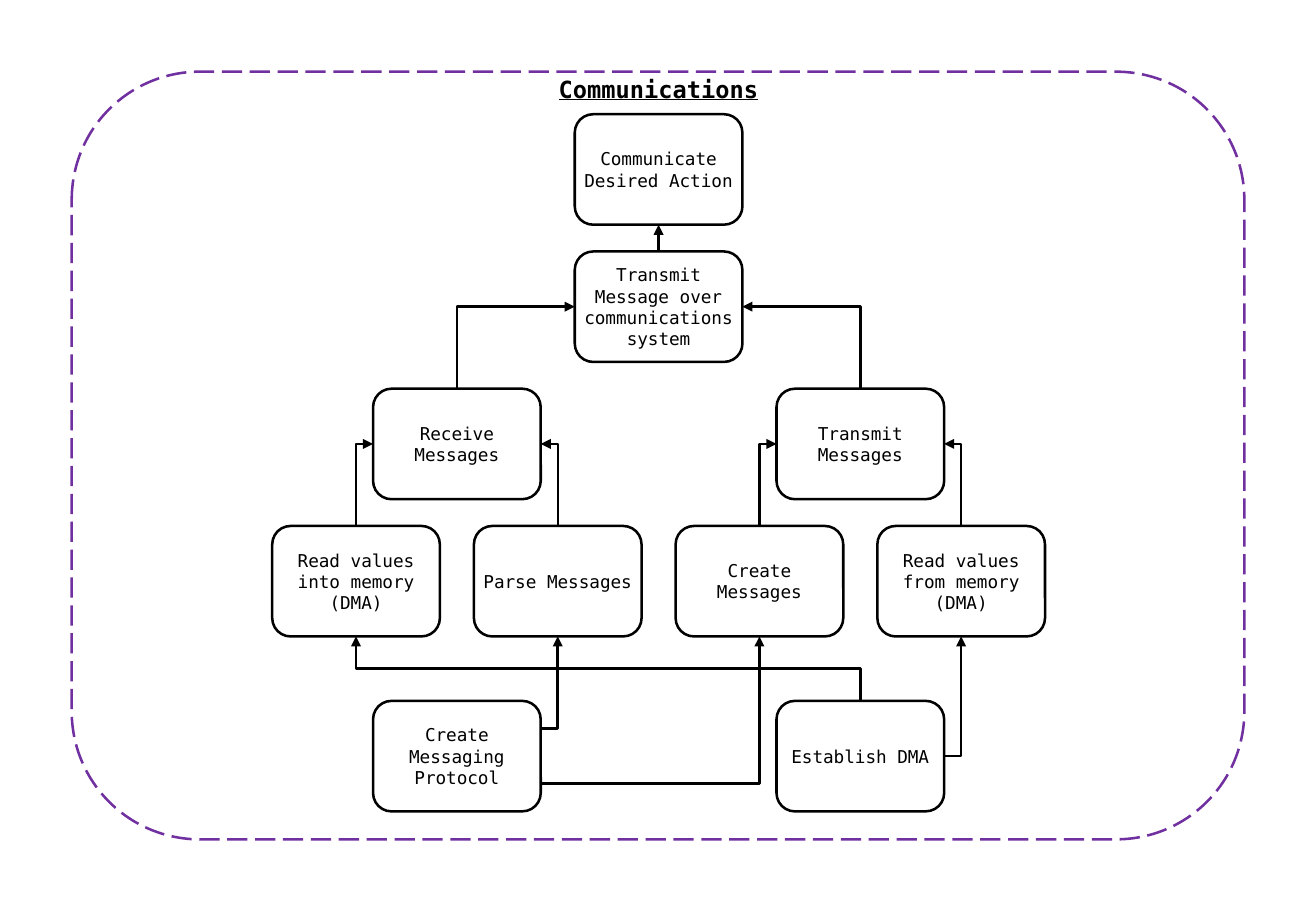
import pptx
import pptx.util
import pptx.dml.color
import pptx.enum.dml
import pptx.enum.shapes
import pptx.enum.text
import pptx.oxml
import pptx.oxml.ns
from dataclasses import dataclass

Inches = pptx.util.Inches

# Content: name -> (text, column in half steps from the centre, row)
TITLE = "Communications"
TASKS = {
    "action": ("Communicate Desired Action", 0, 0),
    "system": ("Transmit Message over communications system", 0, 1),
    "receive": ("Receive Messages", -2, 2),
    "transmit": ("Transmit Messages", 2, 2),
    "read into": ("Read values into memory (DMA)", -3, 3),
    "parse": ("Parse Messages", -1, 3),
    "create": ("Create Messages", 1, 3),
    "read from": ("Read values from memory (DMA)", 3, 3),
    "protocol": ("Create Messaging Protocol", -2, 4),
    "establish": ("Establish DMA", 2, 4),
}
# Arrows: task, side it leaves, next task, side it enters
ARROWS = [
    ("system", "top", "action", "bottom"),
    ("receive", "top", "system", "left"),
    ("transmit", "top", "system", "right"),
    ("read into", "top", "receive", "left"),
    ("parse", "top", "receive", "right"),
    ("create", "top", "transmit", "left"),
    ("read from", "top", "transmit", "right"),
    ("protocol", "upper right", "parse", "bottom"),
    ("protocol", "lower right", "create", "bottom"),
    ("establish", "right", "read from", "bottom"),
    ("establish", "top", "read into", "bottom"),
]


@dataclass
class Theme:
    font: str = "DejaVu Sans Mono"
    title_size: float = 14
    task_size: float = 10.5
    line_width: float = 1.5
    ink: str = "000000"
    paper: str = "FFFFFF"
    border: str = "7030A0"


theme = Theme()

# Layout, in inches
CENTRE, COLUMN_STEP = 5.42, 0.83
ROW_TOPS = [0.94 + 1.13 * row for row in range(4)] + [5.77]
BOX_WIDTH, BOX_HEIGHT = 1.38, 0.91
SIDES = {"top": (0.5, 0), "bottom": (0.5, 1), "left": (0, 0.5), "right": (1, 0.5),
         "upper right": (1, 0.25), "lower right": (1, 0.75)}


def color(value):
    return pptx.dml.color.RGBColor.from_string(value)


def set_line(line, value):
    line.color.rgb = color(value)
    line.width = pptx.util.Pt(theme.line_width)


def set_text(shape, text, size, bold=False, underline=False):
    frame = shape.text_frame
    frame.text = text
    frame.word_wrap = True
    frame.auto_size = pptx.enum.text.MSO_AUTO_SIZE.NONE
    frame.vertical_anchor = pptx.enum.text.MSO_ANCHOR.MIDDLE
    frame.margin_left = frame.margin_right = frame.margin_top = frame.margin_bottom = 0
    para = frame.paragraphs[0]
    para.alignment = pptx.enum.text.PP_ALIGN.CENTER
    para.line_spacing = 1.0
    font = para.runs[0].font
    font.name, font.size = theme.font, pptx.util.Pt(size)
    font.bold, font.underline = bold, underline
    font.color.rgb = color(theme.ink)


def add_rounded(page, left, top, width, height, line_color):
    shape = page.shapes.add_shape(
        pptx.enum.shapes.MSO_SHAPE.FLOWCHART_ALTERNATE_PROCESS,
        Inches(left), Inches(top), Inches(width), Inches(height))
    shape.shadow.inherit = False
    set_line(shape.line, line_color)
    return shape


def box_corner(name):
    _, column, row = TASKS[name]
    return CENTRE + column * COLUMN_STEP - BOX_WIDTH / 2, ROW_TOPS[row]


def side_point(name, side):
    left, top = box_corner(name)
    across, down = SIDES[side]
    return left + across * BOX_WIDTH, top + down * BOX_HEIGHT


def add_arrow(page, task, leaves, next_task, enters):
    x1, y1 = side_point(task, leaves)
    x2, y2 = side_point(next_task, enters)
    straight = abs(x1 - x2) < 0.01
    turned = leaves == "top" and not straight
    if turned:
        # A bend that starts upwards is laid out sideways, then rotated
        middle_x, middle_y = (x1 + x2) / 2, (y1 + y2) / 2
        half_rise, half_run = (y1 - y2) / 2, (x2 - x1) / 2
        x1, x2 = middle_x - half_rise, middle_x + half_rise
        y1, y2 = middle_y - half_run, middle_y + half_run
    kinds = pptx.enum.shapes.MSO_CONNECTOR
    arrow = page.shapes.add_connector(
        kinds.STRAIGHT if straight else kinds.ELBOW,
        Inches(x1), Inches(y1), Inches(x2), Inches(y2))
    set_line(arrow.line, theme.ink)
    properties = arrow._element.spPr
    if turned:
        properties.find(pptx.oxml.ns.qn("a:xfrm")).set("rot", str(270 * 60000))
    if not straight and not (leaves == "top" and enters == "bottom"):
        properties.find(pptx.oxml.ns.qn("a:prstGeom")).set("prst", "bentConnector2")
    namespace = pptx.oxml.ns.nsdecls("a")
    outline = properties.find(pptx.oxml.ns.qn("a:ln"))
    outline.append(pptx.oxml.parse_xml(f'<a:tailEnd {namespace} type="triangle"/>'))
    properties.append(pptx.oxml.parse_xml(f"<a:effectLst {namespace}/>"))


def main():
    deck = pptx.Presentation()
    deck.slide_width, deck.slide_height = Inches(10.83), Inches(7.5)
    page = deck.slides.add_slide(deck.slide_layouts[5])

    # Dashed border and title
    border = add_rounded(page, 0.59, 0.59, 9.65, 6.32, theme.border)
    border.fill.background()
    border.line.dash_style = pptx.enum.dml.MSO_LINE.LONG_DASH
    title = page.shapes.title
    title.left, title.top = Inches(CENTRE - 1.5), Inches(0.59)
    title.width, title.height = Inches(3), Inches(0.29)
    set_text(title, TITLE, theme.title_size, bold=True, underline=True)

    # Task boxes
    for name, (text, _, _) in TASKS.items():
        box = add_rounded(page, *box_corner(name), BOX_WIDTH, BOX_HEIGHT, theme.ink)
        box.fill.solid()
        box.fill.fore_color.rgb = color(theme.paper)
        set_text(box, text, theme.task_size)

    # Arrows
    for arrow in ARROWS:
        add_arrow(page, *arrow)

    deck.save("out.pptx")


if __name__ == "__main__":
    main()
